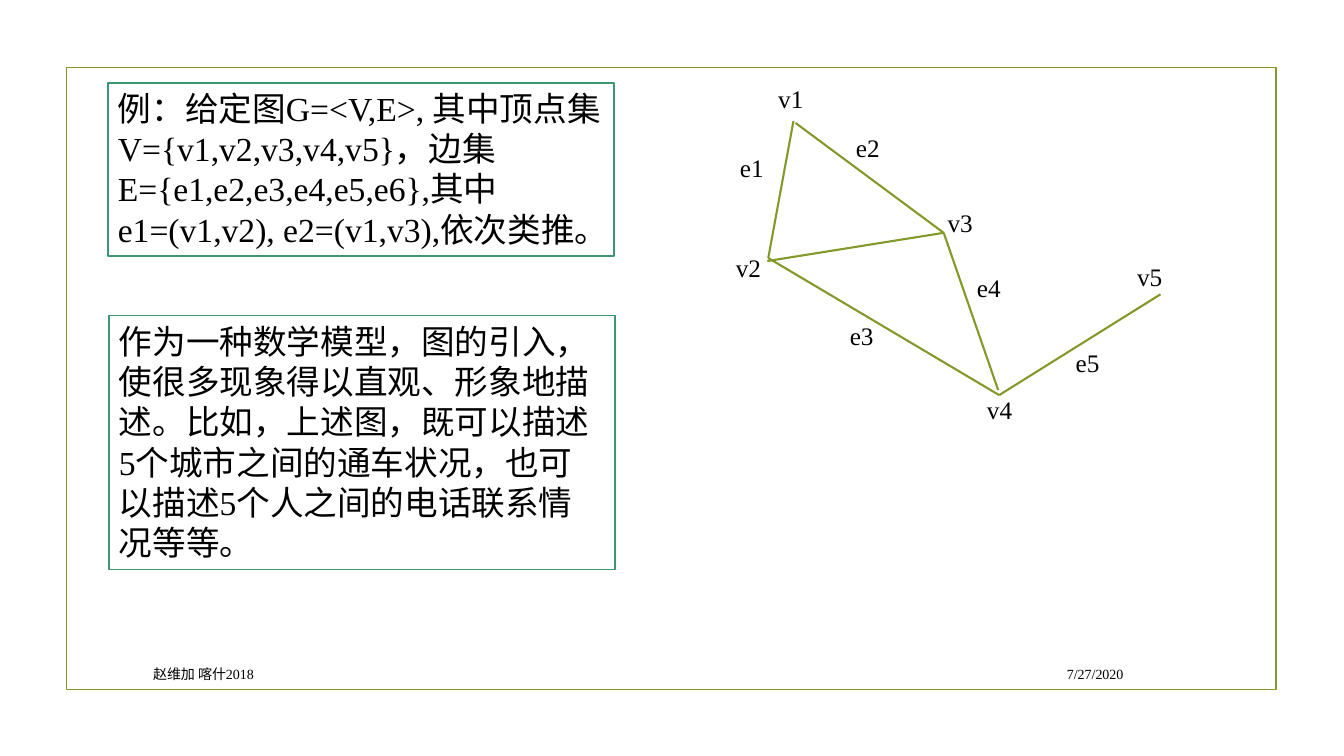
"""Build the slide that introduces a graph with five vertices."""
from typing import NamedTuple

from lxml.etree import SubElement
from pptx import Presentation
from pptx.dml.color import RGBColor
from pptx.enum.shapes import MSO_CONNECTOR as Connector, MSO_SHAPE as Shape
from pptx.enum.text import MSO_ANCHOR as Anchor, PP_ALIGN as Align
from pptx.oxml.ns import qn
from pptx.slide import Slide
from pptx.text.text import TextFrame
from pptx.util import Inches, Pt

OLIVE = RGBColor(0x83, 0x99, 0x2A)
GREEN = RGBColor(0x3C, 0x97, 0x70)
WHITE = RGBColor(0xFF, 0xFF, 0xFF)
BLACK = RGBColor(0, 0, 0)
FONT = "Times New Roman"
VERTEX_WIDTH, EDGE_WIDTH, LABEL_HEIGHT = 0.68, 0.49, 0.4


class Panel(NamedTuple):
    text: str
    left: float
    top: float
    height: float


class Edge(NamedTuple):
    start: tuple[float, float]
    end: tuple[float, float]


class Label(NamedTuple):
    text: str
    left: float
    top: float
    width: float
    height: float = LABEL_HEIGHT
    size: int = 18
    align: Align = Align.LEFT
    anchor: Anchor = Anchor.TOP


PANELS = [
    Panel("例：给定图G=<V,E>, 其中顶点集V={v1,v2,v3,v4,v5}，边集E={e1,e2,e3,e4,e5,e6},"
          "其中e1=(v1,v2), e2=(v1,v3),依次类推。", 1.07, 0.82, 1.72),
    Panel("作为一种数学模型，图的引入，使很多现象得以直观、形象地描述。比如，上述图，"
          "既可以描述5个城市之间的通车状况，也可以描述5个人之间的电话联系情况等等。",
          1.08, 3.13, 2.52),
]
V2, V3, V4 = (7.62, 2.56), (9.36, 2.31), (9.91, 3.92)
EDGES = [
    Edge((7.89, 1.22), V3),
    Edge((7.87, 1.2), V2),
    Edge((7.61, 2.59), V3),
    Edge(V2, V4),
    Edge(V3, (9.9, 3.87)),
    Edge(V4, (11.51, 2.92)),
]
LABELS = [
    Label("v1", 7.62, 0.78, VERTEX_WIDTH),
    Label("v2", 7.2, 2.45, VERTEX_WIDTH),
    Label("v3", 9.3, 2.01, VERTEX_WIDTH),
    Label("v4", 9.69, 3.86, VERTEX_WIDTH),
    Label("v5", 11.18, 2.54, VERTEX_WIDTH),
    Label("e1", 7.24, 1.46, EDGE_WIDTH),
    Label("e2", 8.39, 1.26, EDGE_WIDTH),
    Label("e3", 8.33, 3.13, EDGE_WIDTH),
    Label("e4", 9.59, 2.65, EDGE_WIDTH),
    Label("e5", 10.57, 3.4, EDGE_WIDTH),
    Label("7/27/2020", 9.49, 6.53, 1.75, 0.31, 10, Align.RIGHT, Anchor.MIDDLE),
    Label("赵维加 喀什2018", 1.42, 6.53, 7.99, 0.31, 10, Align.LEFT, Anchor.MIDDLE),
]


def write(frame: TextFrame, text: str, size: int, align: Align, anchor: Anchor) -> None:
    """Fill a text frame with one black paragraph."""
    frame.word_wrap = True
    frame.vertical_anchor = anchor
    para = frame.paragraphs[0]
    para.text = text
    para.alignment = align
    para.font.name = FONT
    para.font.size = Pt(size)
    para.font.color.rgb = BLACK


def add_rectangle(page: Slide, left: float, top: float, width: float, height: float,
                  color: RGBColor) -> Shape:
    """Add a white rectangle with a thin coloured outline."""
    box = page.shapes.add_shape(Shape.RECTANGLE, Inches(left), Inches(top),
                                Inches(width), Inches(height))
    box.shadow.inherit = False
    box.fill.solid()
    box.fill.fore_color.rgb = WHITE
    box.line.color.rgb = color
    box.line.width = Pt(1.25)
    return box


def add_panel(page: Slide, panel: Panel) -> None:
    """Add an outlined paragraph of explanation."""
    box = add_rectangle(page, panel.left, panel.top, 5.02, panel.height, GREEN)
    write(box.text_frame, panel.text, 24, Align.LEFT, Anchor.TOP)


def add_edge(page: Slide, edge: Edge) -> None:
    """Draw one edge of the graph."""
    line = page.shapes.add_connector(Connector.STRAIGHT, *map(Inches, edge.start + edge.end))
    line.line.color.rgb = OLIVE
    line.line.width = Pt(1.5)
    SubElement(line.element.spPr, qn("a:effectLst"))


def add_label(page: Slide, label: Label) -> None:
    """Add a plain text label."""
    box = page.shapes.add_textbox(Inches(label.left), Inches(label.top),
                                  Inches(label.width), Inches(label.height))
    write(box.text_frame, label.text, label.size, label.align, label.anchor)


def main() -> None:
    """Assemble and save the deck."""
    deck = Presentation()
    deck.slide_width, deck.slide_height = Inches(13.33), Inches(7.5)
    page = deck.slides.add_slide(deck.slide_layouts[6])
    frame = add_rectangle(page, 0.66, 0.67, 12, 6.17, OLIVE)
    frame.fill.background()
    for panel in PANELS:
        add_panel(page, panel)
    for edge in EDGES:
        add_edge(page, edge)
    for label in LABELS:
        add_label(page, label)
    deck.save("out.pptx")


if __name__ == "__main__":
    main()
